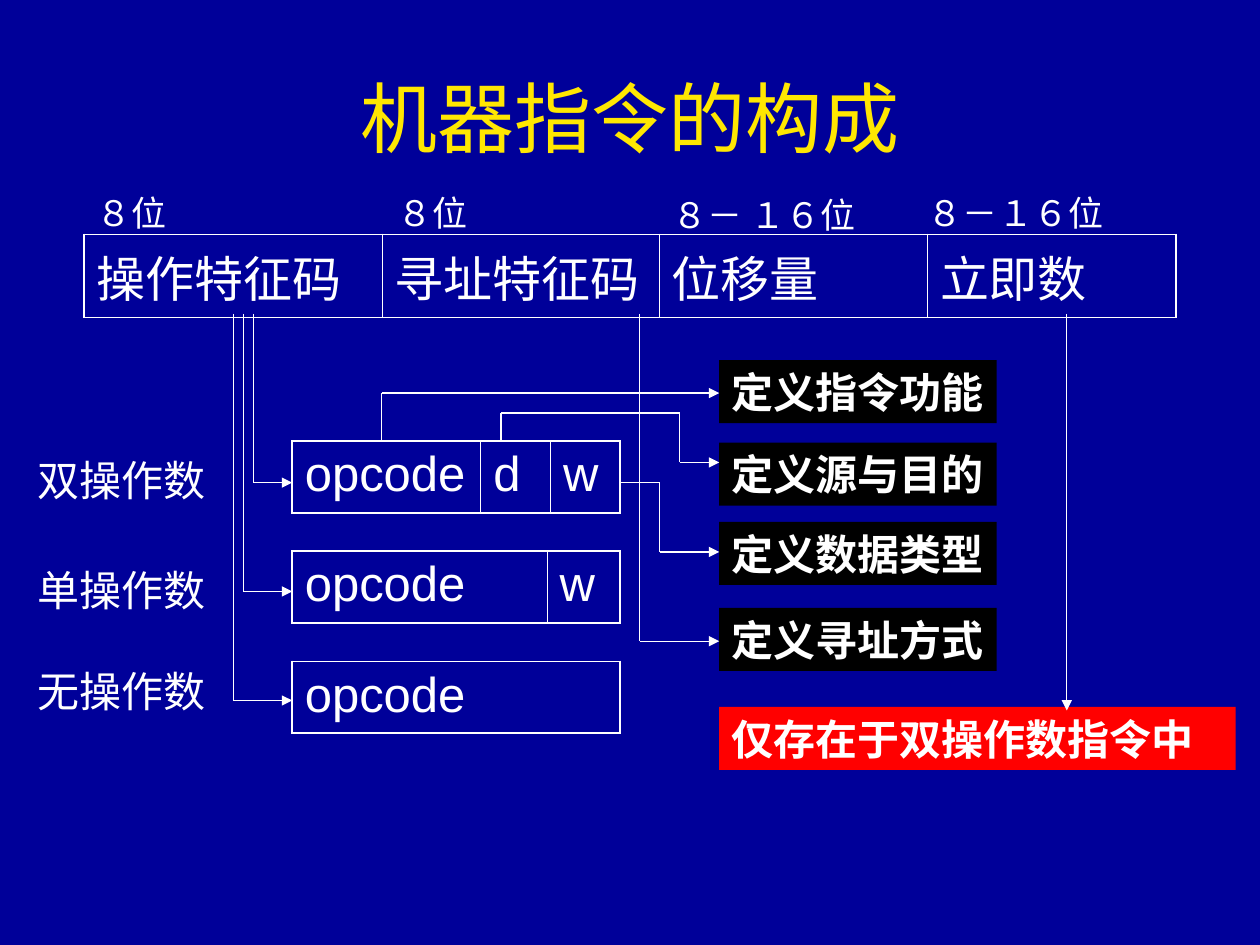
import itertools
from dataclasses import dataclass

import pptx
import pptx.dml.color
import pptx.enum.shapes
import pptx.enum.text
import pptx.oxml
import pptx.oxml.ns
import pptx.util
from lxml import etree

Pt = pptx.util.Pt
ANCHOR = pptx.enum.text.MSO_ANCHOR
ALIGN = pptx.enum.text.PP_ALIGN


@dataclass(frozen=True)
class Theme:
    """Colours, type sizes and line widths of the slide."""
    font: str = "Arial"
    background: str = "000099"
    heading: str = "FFE701"
    ink: str = "FFFFFF"
    meaning: str = "000000"
    warning: str = "FF0000"
    title_size: float = 44
    field_size: float = 28
    label_size: float = 24
    width_size: float = 20
    outer_border: float = 1.08
    inner_border: float = 0.45
    route_line: float = 0.74


THEME = Theme()


def rgb(colour):
    """Return a colour object for a hex string."""
    return pptx.dml.color.RGBColor.from_string(colour)


def style(paragraph, size, colour=THEME.ink, bold=False):
    """Set the font of a whole paragraph."""
    font = paragraph.font
    font.name, font.size, font.bold = THEME.font, Pt(size), bold
    font.color.rgb = rgb(colour)


def add_title(slide, box, wording):
    """Place the centred slide title in the box."""
    frame = slide.shapes.add_textbox(*map(Pt, box)).text_frame
    frame.word_wrap = True
    frame.vertical_anchor = ANCHOR.MIDDLE
    heading = frame.paragraphs[0]
    heading.text, heading.alignment = wording, ALIGN.CENTER
    style(heading, THEME.title_size, THEME.heading)


def add_label(slide, box, wording, size):
    """Place a one-line plain label in the box."""
    frame = slide.shapes.add_textbox(*map(Pt, box)).text_frame
    frame.word_wrap = False
    frame.auto_size = pptx.enum.text.MSO_AUTO_SIZE.SHAPE_TO_FIT_TEXT
    frame.text = wording
    style(frame.paragraphs[0], size)


def add_plate(slide, box, wording, fill, wrap=False):
    """Place a filled plate with bold text in the box."""
    plate = slide.shapes.add_shape(
        pptx.enum.shapes.MSO_SHAPE.RECTANGLE, *map(Pt, box))
    plate.shadow.inherit = False
    plate.fill.solid()
    plate.fill.fore_color.rgb = rgb(fill)
    plate.line.fill.background()
    frame = plate.text_frame
    frame.word_wrap = wrap
    frame.auto_size = pptx.enum.text.MSO_AUTO_SIZE.SHAPE_TO_FIT_TEXT
    frame.vertical_anchor = ANCHOR.TOP
    frame.text = wording
    frame.paragraphs[0].alignment = ALIGN.LEFT
    style(frame.paragraphs[0], THEME.label_size, bold=True)


def add_border(cell, position, side, width):
    """Draw one side of a cell's border."""
    border = pptx.oxml.parse_xml(
        f'<a:{side} {pptx.oxml.ns.nsdecls("a")} w="{int(Pt(width))}">'
        f'<a:solidFill><a:srgbClr val="{THEME.ink}"/></a:solidFill></a:{side}>')
    cell._tc.get_or_add_tcPr().insert(position, border)


def add_fields(slide, left, top, height, fields):
    """Place a one-row table of (name, width) instruction fields."""
    total = sum(width for _, width in fields)
    table = slide.shapes.add_table(
        1, len(fields), Pt(left), Pt(top), Pt(total), Pt(height)).table
    table.first_row = table.horz_banding = False
    table.rows[0].height = Pt(height)
    last = len(fields) - 1
    for column, (name, width) in enumerate(fields):
        table.columns[column].width = Pt(width)
        cell = table.cell(0, column)
        cell.fill.background()
        cell.text = name
        paragraph = cell.text_frame.paragraphs[0]
        paragraph.space_before = Pt(7)
        style(paragraph, THEME.field_size)
        left_width = THEME.inner_border if column else THEME.outer_border
        right_width = THEME.inner_border if column < last else THEME.outer_border
        borders = {"lnL": left_width, "lnR": right_width,
                   "lnT": THEME.outer_border, "lnB": THEME.outer_border}
        for position, (side, border_width) in enumerate(borders.items()):
            add_border(cell, position, side, border_width)


def add_route(slide, points):
    """Join the points with straight lines, ending in an arrowhead."""
    segments = list(itertools.pairwise(points))
    shapes = slide.shapes
    if len(segments) > 1:
        shapes = slide.shapes.add_group_shape().shapes
    for start, end in segments:
        segment = shapes.add_connector(
            pptx.enum.shapes.MSO_CONNECTOR.STRAIGHT, *map(Pt, start + end))
        segment.line.color.rgb = rgb(THEME.ink)
        segment.line.width = Pt(THEME.route_line)
        if end == points[-1]:
            etree.SubElement(segment.line._get_or_add_ln(),
                             pptx.oxml.ns.qn("a:tailEnd"), type="triangle")
        etree.SubElement(segment._element.spPr, pptx.oxml.ns.qn("a:effectLst"))


def add_instruction(slide, left, top):
    """Place the whole instruction with the bit widths above its fields."""
    add_fields(slide, left, top, 47.5, [
        ("操作特征码", 170.4), ("寻址特征码", 158.4),
        ("位移量", 153.2), ("立即数", 142)])
    for wording, offset, rise, width in [
            ("８位", 0, 28, 56), ("８位", 172.2, 28, 56),
            ("８－ １６位", 329.2, 27.2, 122), ("８－１６位", 475.2, 28, 116)]:
        add_label(slide, (left + offset, top - rise, width, 31.5),
                  wording, THEME.width_size)


def add_formats(slide, left, top, pitch):
    """Place the three opcode formats and their names, one per pitch."""
    formats = [
        ("双操作数", 4.4, [("opcode", 107.8), ("d", 39.8), ("w", 39.8)]),
        ("单操作数", 4, [("opcode", 145.6), ("w", 41.8)]),
        ("无操作数", -1.4, [("opcode", 187.4)])]
    for row, (name, drop, fields) in enumerate(formats):
        row_top = top + row * pitch
        add_fields(slide, left + 152.7, row_top, 41, fields)
        add_label(slide, (left, row_top + drop, 111, 36),
                  name, THEME.label_size)


def add_meanings(slide, left, top):
    """Place the column of field meanings and the warning under it."""
    for wording, drop in [("定义指令功能", 0), ("定义源与目的", 47.2),
                          ("定义数据类型", 92.4), ("定义寻址方式", 141.6)]:
        add_plate(slide, (left, top + drop, 158.6, 36), wording, THEME.meaning)
    add_plate(slide, (left, top + 198.2, 295.2, 36),
              "仅存在于双操作数指令中", THEME.warning, wrap=True)


def add_routes(slide, field_bottom, format_left, meaning_left):
    """Lead from the fields to the formats and meanings."""
    for x, y in [(144.7, 275.8), (139, 338), (133.3, 400.3)]:
        add_route(slide, [(x, field_bottom), (x, y), (format_left, y)])
    add_route(slide, [(218.2, 252.5), (218.2, 224.6), (meaning_left, 224.6)])
    add_route(slide, [(286.3, 252.5), (286.3, 236), (388.4, 236),
                      (388.4, 264.3), (meaning_left, 264.3)])
    add_route(slide, [(354.4, 275.6), (377, 275.6), (377, 315.4),
                      (meaning_left, 315.4)])
    add_route(slide, [(365.6, field_bottom), (365.6, 366.4),
                      (meaning_left, 366.4)])
    add_route(slide, [(609.6, field_bottom), (609.6, 406)])


def build():
    """Build and save the slide."""
    deck = pptx.Presentation()
    deck.slide_width, deck.slide_height = Pt(720), Pt(540)
    slide = deck.slides.add_slide(deck.slide_layouts[6])
    slide.background.fill.solid()
    slide.background.fill.fore_color.rgb = rgb(THEME.background)
    add_title(slide, (36, 21.6, 648, 90), "机器指令的构成")
    add_instruction(slide, 48, 134)
    add_formats(slide, 14.3, 252, 63)
    add_meanings(slide, 411, 205.8)
    add_routes(slide, 179.3, 167, 411)
    deck.save("out.pptx")


build()
